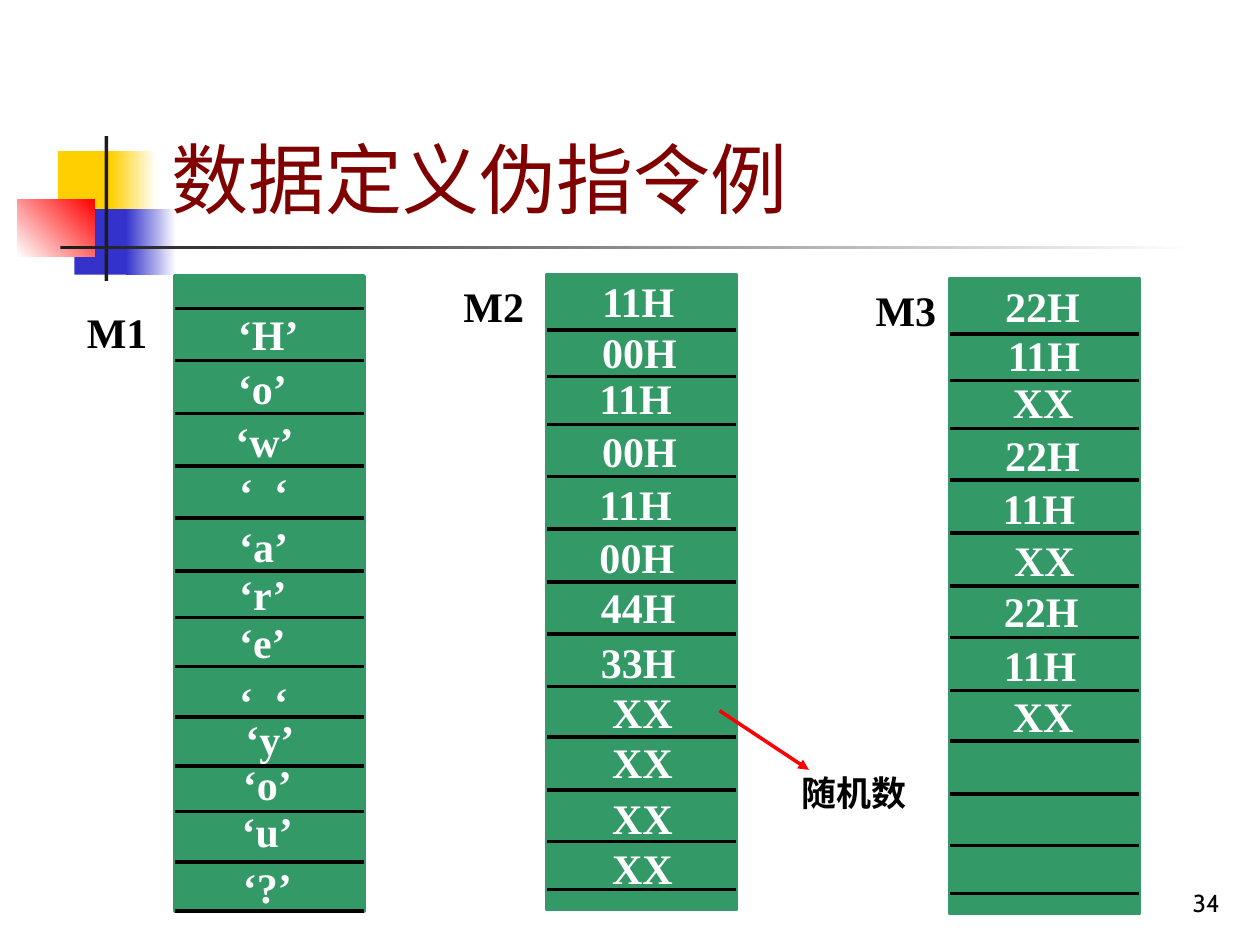
from lxml.etree import SubElement
from pptx import Presentation
from pptx.dml.color import RGBColor
from pptx.enum.shapes import MSO_CONNECTOR, MSO_SHAPE
from pptx.enum.text import MSO_ANCHOR, MSO_AUTO_SIZE, PP_ALIGN
from pptx.oxml.ns import qn
from pptx.util import Pt

BLACK = RGBColor(0x00, 0x00, 0x00)
WHITE = RGBColor(0xFF, 0xFF, 0xFF)
CHARCOAL = RGBColor(0x1C, 0x1C, 0x1C)
YELLOW = RGBColor(0xFF, 0xCF, 0x01)
BLUE = RGBColor(0x33, 0x33, 0xCC)
RED = RGBColor(0xFF, 0x00, 0x00)
GREEN = RGBColor(0x33, 0x99, 0x66)
MAROON = RGBColor(0x80, 0x00, 0x00)

SERIF, SANS = "Times New Roman", "Cabin"
COLUMNS, ROWS = 1000, 750
UNIT = 9144
MEMORY_WIDTH, MEMORY_HEIGHT, TEXT_HEIGHT = 150, 504, 50

deck = Presentation()
deck.slide_width = COLUMNS * UNIT
deck.slide_height = ROWS * UNIT
page = deck.slides.add_slide(deck.slide_layouts[5])


def add_text(text, left, top, width, height=TEXT_HEIGHT, size=24, color=WHITE, name=SERIF, bold=True):
    box = page.shapes.add_textbox(left * UNIT, top * UNIT, width * UNIT, height * UNIT)
    box.text_frame.word_wrap = True
    para = box.text_frame.paragraphs[0]
    para.text = text
    para.font.size = Pt(size)
    para.font.name = name
    para.font.bold = bold
    para.font.color.rgb = color
    return box


def add_line(start_x, start_y, end_x, end_y, color=BLACK):
    line = page.shapes.add_connector(
        MSO_CONNECTOR.STRAIGHT, start_x * UNIT, start_y * UNIT, end_x * UNIT, end_y * UNIT)
    line.line.color.rgb = color
    line.line.width = Pt(2)
    SubElement(line.element.spPr, qn("a:effectLst"))
    return line


ornaments = [
    (46, 120, 48, 52, YELLOW, YELLOW, 0),
    (88, 120, 36, 52, YELLOW, WHITE, 0),
    (59, 166, 46, 52, BLUE, BLUE, 0),
    (100, 166, 40, 52, BLUE, WHITE, 0),
    (14, 158, 61, 46, WHITE, RED, 45),
    (83, 108, 3, 115, CHARCOAL, CHARCOAL, 0),
    (48, 195, 900, 3, CHARCOAL, WHITE, 0),
]
for left, top, width, height, first, last, angle in ornaments:
    ornament = page.shapes.add_shape(
        MSO_SHAPE.RECTANGLE, left * UNIT, top * UNIT, width * UNIT, height * UNIT)
    ornament.shadow.inherit = False
    ornament.line.fill.background()
    if first == last:
        ornament.fill.solid()
        ornament.fill.fore_color.rgb = first
    else:
        ornament.fill.gradient()
        ornament.fill.gradient_angle = angle
        for stop, color in zip(ornament.fill.gradient_stops, (first, last)):
            stop.position = 0 if color == first else 1
            stop.color.rgb = color

title = page.shapes.title
title.left, title.top, title.width, title.height = 126 * UNIT, 23 * UNIT, 852 * UNIT, 160 * UNIT
title.element.getparent().append(title.element)
title.text_frame.auto_size = MSO_AUTO_SIZE.NONE
title.text_frame.vertical_anchor = MSO_ANCHOR.BOTTOM
heading = title.text_frame.paragraphs[0]
heading.text = "数据定义伪指令例"
heading.alignment = PP_ALIGN.LEFT
heading.font.size = Pt(44)
heading.font.name = SANS
heading.font.color.rgb = MAROON

number = add_text("34", 770, 683, 208, size=14, color=BLACK, name=SANS, bold=False)
number.text_frame.vertical_anchor = MSO_ANCHOR.BOTTOM
number.text_frame.paragraphs[0].alignment = PP_ALIGN.RIGHT

byte_edges = [26, 67, 109, 151, 192, 234, 271, 310, 350, 389, 425, 465, 504]
word_edges = [44, 81, 119, 160, 202, 244, 285, 327, 367, 409, 450, 488]
message_cells = [
    ("‘H’", 40, 21), ("‘o’", 40, 64), ("‘w’", 38, 106), ("‘  ‘", 41, 146),
    ("‘a’", 41, 189), ("‘r’", 41, 227), ("‘e’", 41, 265), ("‘  ‘", 41, 312),
    ("‘y’", 46, 342), ("‘o’", 44, 378), ("‘u’", 43, 415), ("‘?’", 44, 460),
]
word_cells = [
    ("11H", 34, -4), ("00H", 34, 36), ("11H", 32, 73), ("00H", 34, 115),
    ("11H", 32, 157), ("00H", 32, 199), ("44H", 33, 239), ("33H", 33, 282),
    ("XX", 42, 322), ("XX", 42, 362), ("XX", 42, 406), ("XX", 42, 446),
]
repeated_cells = [
    ("22H", 34, -3), ("11H", 36, 36), ("XX", 40, 73),
    ("22H", 34, 115), ("11H", 32, 157), ("XX", 41, 198),
    ("22H", 33, 239), ("11H", 33, 282), ("XX", 40, 322),
]
memories = [
    ("M1", 59, 238, 139, 219, byte_edges, message_cells),
    ("M2", 358, 218, 434, 218, word_edges, word_cells),
    ("M3", 685, 221, 754, 221, word_edges, repeated_cells),
]
for label, label_left, label_top, left, top, edges, cells in memories:
    memory = page.shapes.add_shape(
        MSO_SHAPE.RECTANGLE, left * UNIT, top * UNIT, MEMORY_WIDTH * UNIT, MEMORY_HEIGHT * UNIT)
    memory.shadow.inherit = False
    memory.fill.solid()
    memory.fill.fore_color.rgb = GREEN
    memory.line.color.rgb = GREEN
    memory.line.width = Pt(2)
    add_text(label, label_left, label_top, 75, color=BLACK)
    for edge in edges:
        add_line(left, top + edge, left + MEMORY_WIDTH, top + edge)
    for text, shift, drop in cells:
        add_text(text, left + shift, top + drop, 79 if text == "XX" else 100)

add_text("随机数", 626, 607, 134, height=44, size=20, color=BLACK)
arrow = add_line(571, 564, 642, 611, RED)
SubElement(arrow.line._get_or_add_ln(), qn("a:tailEnd"), type="triangle")

deck.save("out.pptx")
